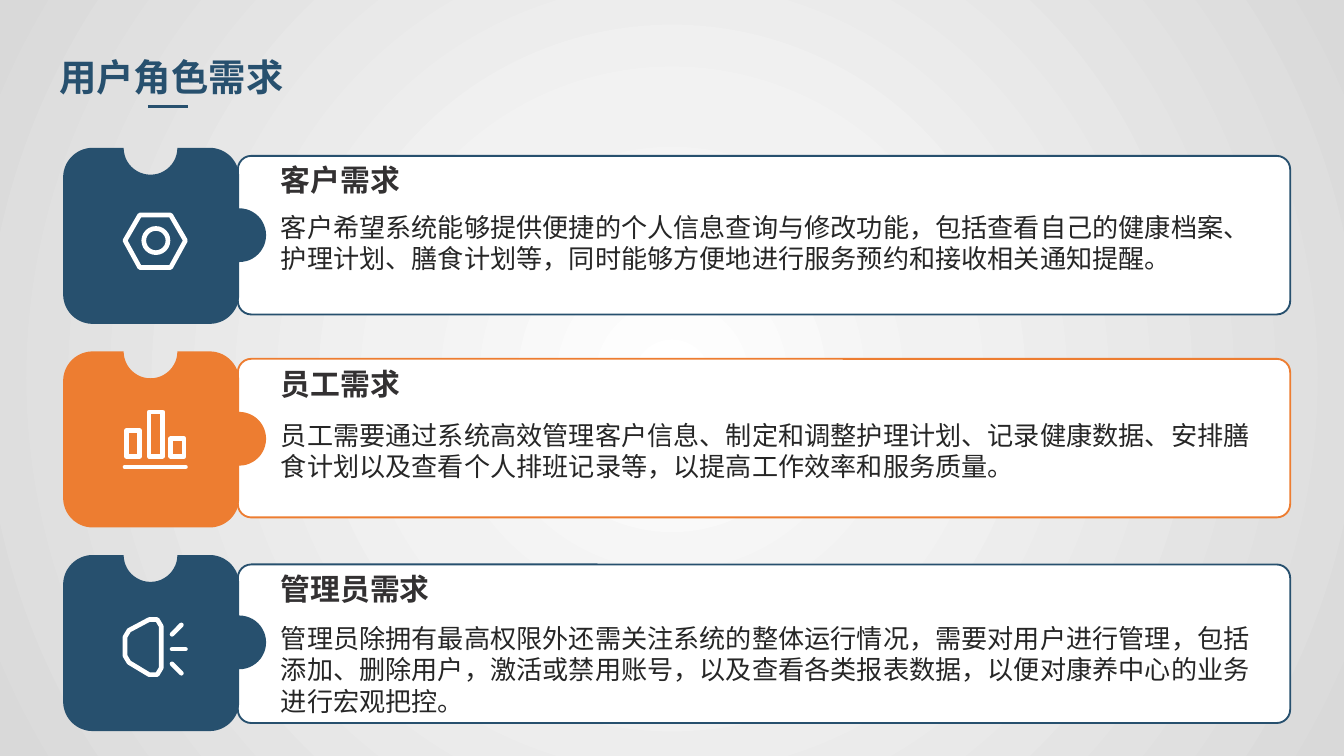
import math
import lxml.etree
import pptx
import pptx.dml.color
import pptx.enum.shapes
import pptx.enum.text
import pptx.oxml.ns
import pptx.util
from pptx.util import Inches

qn = pptx.oxml.ns.qn
FONT = "Noto Sans CJK SC"
BLUE, ORANGE, WHITE = "27506E", "ED7D31", "FFFFFF"
color = pptx.dml.color.RGBColor.from_string


def write(box, text, size, ink, bold, spacing=None):
    box.text_frame.text = text
    para = box.text_frame.paragraphs[0]
    para.alignment = pptx.enum.text.PP_ALIGN.LEFT
    para.line_spacing = spacing
    para.font.name = FONT
    para.font.size = pptx.util.Pt(size)
    para.font.bold = bold
    para.font.color.rgb = color(ink)
    latin = box.element.find(".//" + qn("a:latin"))
    latin.addnext(latin.makeelement(qn("a:ea"), {"typeface": FONT}))


def arc(x, y, radius, start, end):
    angles = [math.radians(start + (end - start) * step / 24) for step in range(25)]
    return [(x + radius * math.cos(angle), y + radius * math.sin(angle)) for angle in angles]


deck = pptx.Presentation()
deck.slide_width = Inches(10)
deck.slide_height = deck.slide_width * 9 // 16
slide = deck.slides.add_slide(deck.slide_layouts[5])
shapes = slide.shapes

slide.background.fill.gradient()
gradient = slide.element.find(".//" + qn("a:gradFill"))
for child in list(gradient):
    gradient.remove(child)
stops = lxml.etree.SubElement(gradient, qn("a:gsLst"))
for percent, tint in ((0, WHITE), (35, "F2F2F2"), (100, "D9D9D9")):
    stop = lxml.etree.SubElement(stops, qn("a:gs"), pos=str(percent * 1000))
    lxml.etree.SubElement(stop, qn("a:srgbClr"), val=tint)
shade = lxml.etree.SubElement(gradient, qn("a:path"), {"path": "circle"})
lxml.etree.SubElement(shade, qn("a:fillToRect"), dict.fromkeys("ltrb", "50000"))

title = shapes.title
title.left, title.top, title.width, title.height = map(Inches, (0.34, 0.35, 1.92, 0.44))
title.text_frame.word_wrap = False
title.text_frame.auto_size = pptx.enum.text.MSO_AUTO_SIZE.SHAPE_TO_FIT_TEXT
title.text_frame.vertical_anchor = pptx.enum.text.MSO_ANCHOR.TOP
write(title, "用户角色需求", 20, BLUE, True)

underline = shapes.add_connector(
    pptx.enum.shapes.MSO_CONNECTOR.STRAIGHT, Inches(1.1), Inches(0.79), Inches(1.4), Inches(0.79))
underline.line.color.rgb = color(BLUE)
underline.line.width = pptx.util.Pt(1.5)
lxml.etree.SubElement(underline.element.spPr, qn("a:effectLst"))

puzzle = (arc(1.12, 0, 0.2, 180, 0) + arc(1.56, 0.22, 0.22, -90, 0)
          + arc(1.78, 0.65, 0.2, -90, 90) + arc(1.56, 1.09, 0.22, 0, 90)
          + arc(0.69, 1.09, 0.22, 90, 180) + arc(0.69, 0.22, 0.22, 180, 270))

nut = [[(0.93, 0.69), (1.04, 0.5), (1.27, 0.5), (1.38, 0.69), (1.27, 0.89), (1.04, 0.89), (0.93, 0.69)],
       arc(1.16, 0.69, 0.09, 0, 360)]
bars = [[(x, y), (x + 0.1, y), (x + 0.1, 0.78), (x, 0.78), (x, y)]
        for x, y in ((0.94, 0.59), (1.11, 0.45), (1.27, 0.65))]
bars.append([(0.93, 0.86), (1.38, 0.86)])
speaker = [[(0.93, 0.61), (0.96, 0.56), (1.11, 0.48), (1.17, 0.48), (1.2, 0.53), (1.2, 0.84),
            (1.17, 0.89), (1.11, 0.89), (0.96, 0.8), (0.93, 0.75), (0.93, 0.61)],
           [(1.28, 0.59), (1.35, 0.52)], [(1.28, 0.7), (1.38, 0.7)], [(1.28, 0.81), (1.35, 0.88)]]

roles = [
    ("客户需求", BLUE, nut, 1.16, 1.07, 1.57,
     "客户希望系统能够提供便捷的个人信息查询与修改功能，包括查看自己的健康档案、护理计划、膳食计划等，同时能够方便地进行服务预约和接收相关通知提醒。"),
    ("员工需求", ORANGE, bars, 2.67, 2.59, 3.12,
     "员工需要通过系统高效管理客户信息、制定和调整护理计划、记录健康数据、安排膳食计划以及查看个人排班记录等，以提高工作效率和服务质量。"),
    ("管理员需求", BLUE, speaker, 4.2, 4.11, 4.63,
     "管理员除拥有最高权限外还需关注系统的整体运行情况，需要对用户进行管理，包括添加、删除用户，激活或禁用账号，以及查看各类报表数据，以便对康养中心的业务进行宏观把控。"),
]

for index, (heading, accent, icon, card_top, heading_top, text_top, text) in enumerate(roles):
    top = 1.1 + 1.515 * index
    card = shapes.add_shape(pptx.enum.shapes.MSO_SHAPE.ROUNDED_RECTANGLE,
                            Inches(1.77), Inches(card_top), Inches(7.83), Inches(1.18))
    card.adjustments[0] = 0.085
    card.shadow.inherit = False
    card.fill.solid()
    card.fill.fore_color.rgb = color(WHITE)
    card.line.color.rgb = color(accent)
    card.line.width = pptx.util.Pt(1)

    for contours in ([puzzle], icon):
        outlines = [[(Inches(x), Inches(top + y)) for x, y in contour] for contour in contours]
        builder = shapes.build_freeform(*outlines[0][0])
        for outline in outlines:
            if outline is not outlines[0]:
                builder.move_to(*outline[0])
            builder.add_line_segments(outline[1:], close=contours is not icon)
        drawing = builder.convert_to_shape()
        drawing.shadow.inherit = False
        if contours is icon:
            drawing.fill.background()
            drawing.line.color.rgb = color(WHITE)
            drawing.line.width = pptx.util.Pt(2.5)
            stroke = drawing.element.spPr.find(qn("a:ln"))
            stroke.set("cap", "rnd")
            lxml.etree.SubElement(stroke, qn("a:round"))
        else:
            drawing.fill.solid()
            drawing.fill.fore_color.rgb = color(accent)
            drawing.line.fill.background()

    for words, box_top, height, size, ink, bold, spacing in (
            (text, text_top, 0.58, 14, "262626", False, None),
            (heading, heading_top, 0.34, 16, "333132", True, 1.5)):
        box = shapes.add_textbox(Inches(2.09), Inches(box_top), Inches(7.31), Inches(height))
        frame = box.text_frame
        frame.word_wrap = True
        frame.margin_left = frame.margin_top = frame.margin_right = frame.margin_bottom = 0
        write(box, words, size, ink, bold, spacing)

deck.save("out.pptx")
